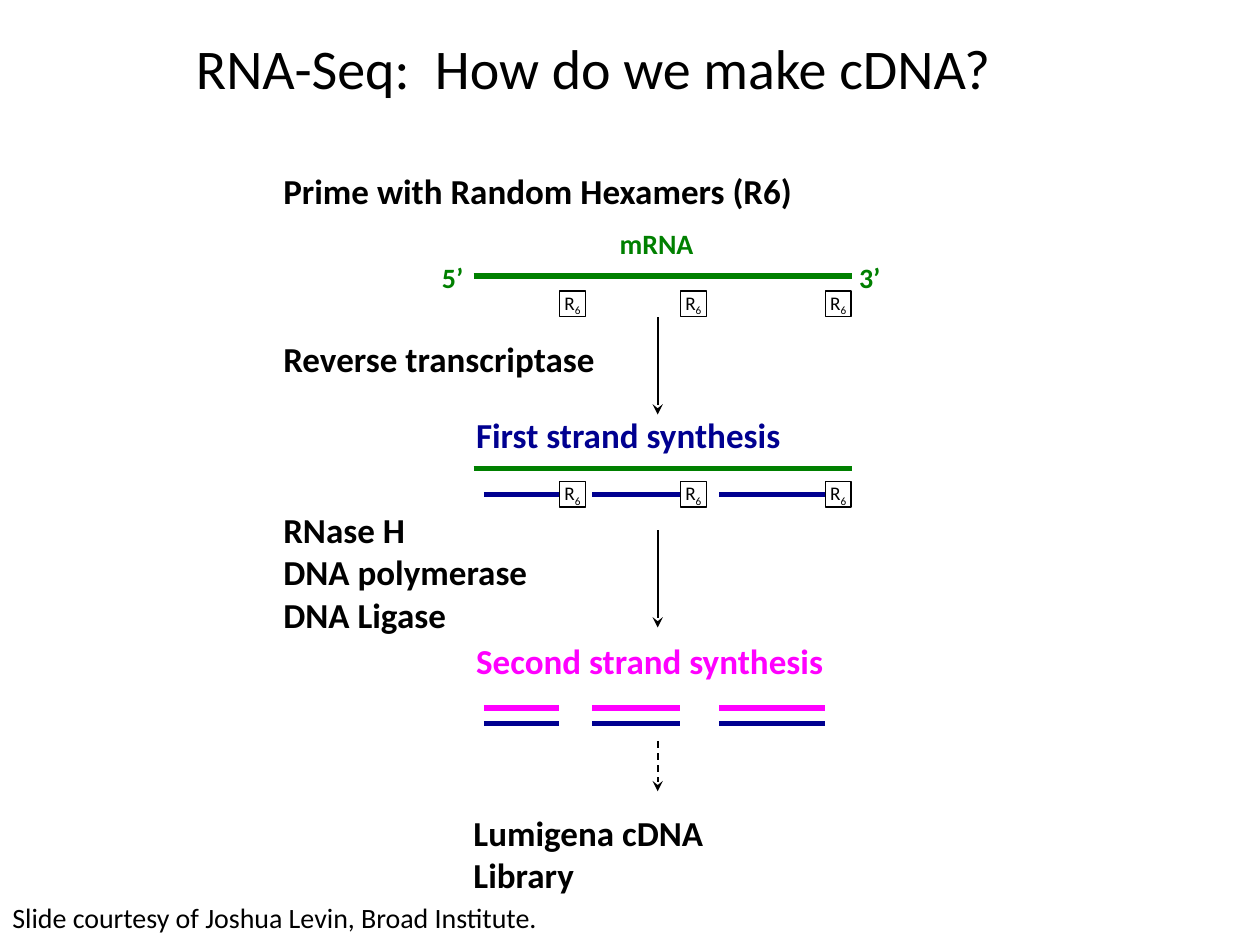
from pptx import Presentation
from pptx.dml.color import RGBColor
from pptx.enum.dml import MSO_LINE
from pptx.enum.shapes import MSO_CONNECTOR, MSO_SHAPE
from pptx.enum.text import MSO_ANCHOR, MSO_AUTO_SIZE, PP_ALIGN
from pptx.oxml.ns import qn
from pptx.util import Inches, Pt
from lxml import etree

STRAIGHT, RECT = MSO_CONNECTOR.STRAIGHT, MSO_SHAPE.RECTANGLE
DASH, FIT = MSO_LINE.DASH, MSO_AUTO_SIZE.SHAPE_TO_FIT_TEXT
CENTER, LEFT, MIDDLE = PP_ALIGN.CENTER, PP_ALIGN.LEFT, MSO_ANCHOR.MIDDLE
BLACK, WHITE = "000000", "FFFFFF"
GREEN, BLUE, PINK = "008000", "000090", "FF00FF"
color = RGBColor.from_string

deck = Presentation()
deck.slide_width, deck.slide_height = Inches(10), Inches(7.5)
cell = deck.slide_width / 100  # square grid: 100 columns by 75 rows
slide = deck.slides.add_slide(deck.slide_layouts[6])
shapes = slide.shapes


def add_line(x1, y1, x2, y2, tint, width):
    ends = [round(n * cell) for n in (x1, y1, x2, y2)]
    line = shapes.add_connector(STRAIGHT, *ends)
    line.line.color.rgb = color(tint)
    line.line.width = Pt(width)
    etree.SubElement(line._element.spPr, qn("a:effectLst"))
    return line


def add_run(para, text, size, tint, bold=False):
    run = para.add_run()
    run.text = text
    font = run.font
    font.name, font.size, font.bold = "Calibri", Pt(size), bold
    font.color.rgb = color(tint)
    return run


# Text: column, row, columns wide, rows high, lines, size, colour, bold, wrap, align
labels = [
    (3, 2.2, 88.2, 5.5, ["RNA-Seq:  How do we make cDNA?"], 32, BLACK, False, True, CENTER),
    (21.5, 13, 42.7, 4.4, ["Prime with Random Hexamers (R6)"], 20, BLACK, True, False, LEFT),
    (48.2, 17.5, 7.9, 3.7, ["mRNA"], 16, GREEN, True, False, LEFT),
    (34.1, 20.2, 4.4, 3.7, ["5’"], 16, GREEN, True, True, LEFT),
    (67.2, 20.2, 4, 3.7, ["3’"], 16, GREEN, True, True, LEFT),
    (21.5, 26.3, 27, 4.4, ["Reverse transcriptase"], 20, BLACK, True, False, LEFT),
    (36.8, 32.3, 26.4, 4.4, ["First strand synthesis"], 20, BLUE, True, False, LEFT),
    (21.5, 39.9, 21.6, 11.1, ["RNase H", "DNA polymerase", "DNA Ligase"],
     20, BLACK, True, False, LEFT),
    (36.8, 50.3, 29.8, 4.4, ["Second strand synthesis"], 20, PINK, True, False, LEFT),
    (36.6, 63.9, 27.3, 4.4, ["Lumigena cDNA Library"], 20, BLACK, True, False, LEFT),
    (0, 71, 44.4, 3.7, ["Slide courtesy of Joshua Levin, Broad Institute."],
     16, BLACK, False, False, LEFT),
]
for x, y, w, h, lines, size, tint, bold, wrap, align in labels:
    box = shapes.add_textbox(*[round(n * cell) for n in (x, y, w, h)])
    frame = box.text_frame
    frame.word_wrap = wrap
    if not wrap:
        frame.auto_size = FIT
    for i, text in enumerate(lines):
        para = frame.add_paragraph() if i else frame.paragraphs[0]
        para.alignment = align
        add_run(para, text, size, tint, bold)

# The mRNA strand, before and after priming
for y in (21.9, 37.2):
    add_line(37.6, y, 67.6, y, GREEN, 3)

# Each cDNA piece runs from its start column to its primer
pieces = [(38.4, 44.4), (47, 54), (57.1, 65.5)]
side = 2.05
for start, stop in pieces:
    for y in (23.1, 38.2):
        primer = shapes.add_shape(RECT, *[round(n * cell) for n in (stop, y, side, side)])
        primer.shadow.inherit = False
        primer.fill.solid()
        primer.fill.fore_color.rgb = color(WHITE)
        primer.line.color.rgb = color(BLACK)
        primer.line.width = Pt(0.75)
        frame = primer.text_frame
        frame.word_wrap, frame.vertical_anchor = False, MIDDLE
        para = frame.paragraphs[0]
        para.alignment = CENTER
        add_run(para, "R", 11, BLACK)
        sub = add_run(para, "6", 11, BLACK)
        sub.font._element.set("baseline", "-25000")
    # The last primer made belongs to the first strand
    mid = 38.2 + side / 2
    add_line(start, mid, stop, mid, BLUE, 3).end_connect(primer, 1)
    for y, tint in ((56.2, PINK), (57.4, BLUE)):
        add_line(start, y, stop, y, tint, 3)

# Steps down the middle
for top, end, dash in ((25.2, 32.9, None), (42.1, 49.8, None), (58.8, 62.8, DASH)):
    arrow = add_line(52.2, top, 52.2, end, BLACK, 1)
    if dash:
        arrow.line.dash_style = dash
    etree.SubElement(arrow.line._get_or_add_ln(), qn("a:tailEnd"), type="stealth")

deck.save("out.pptx")
